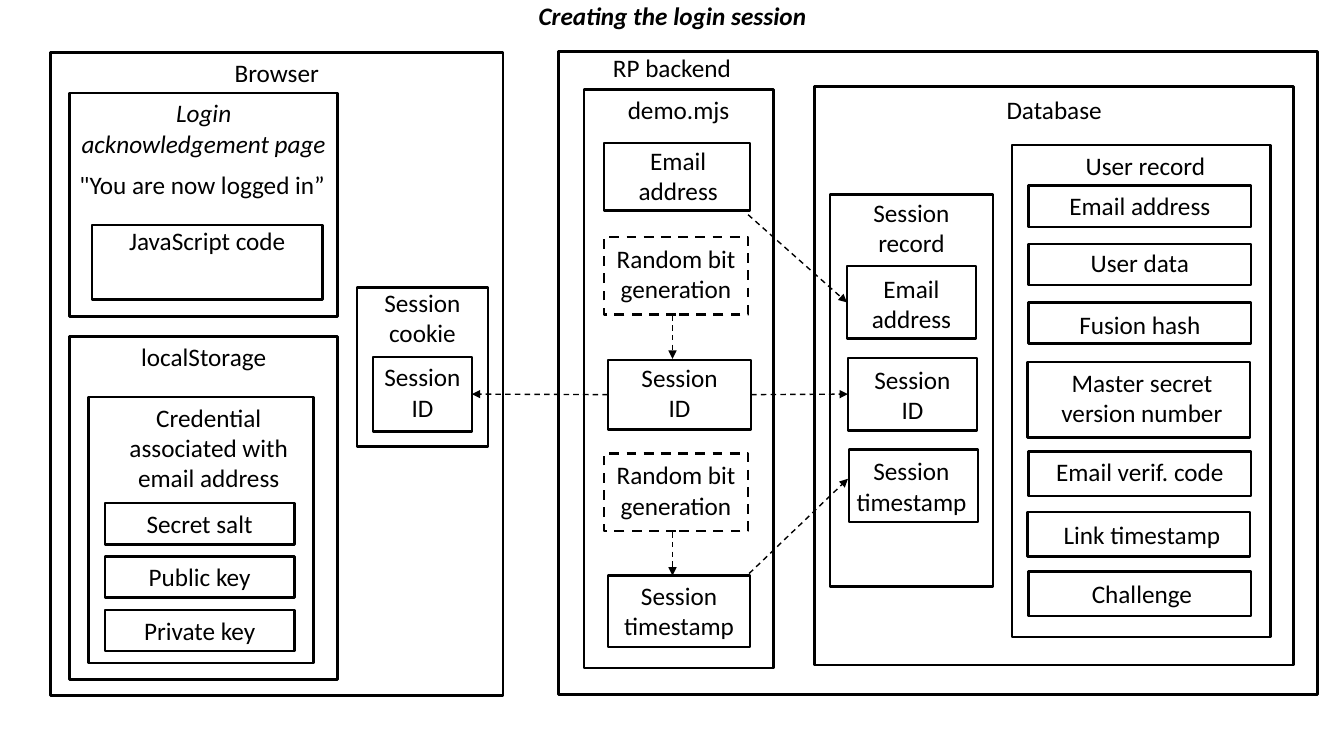
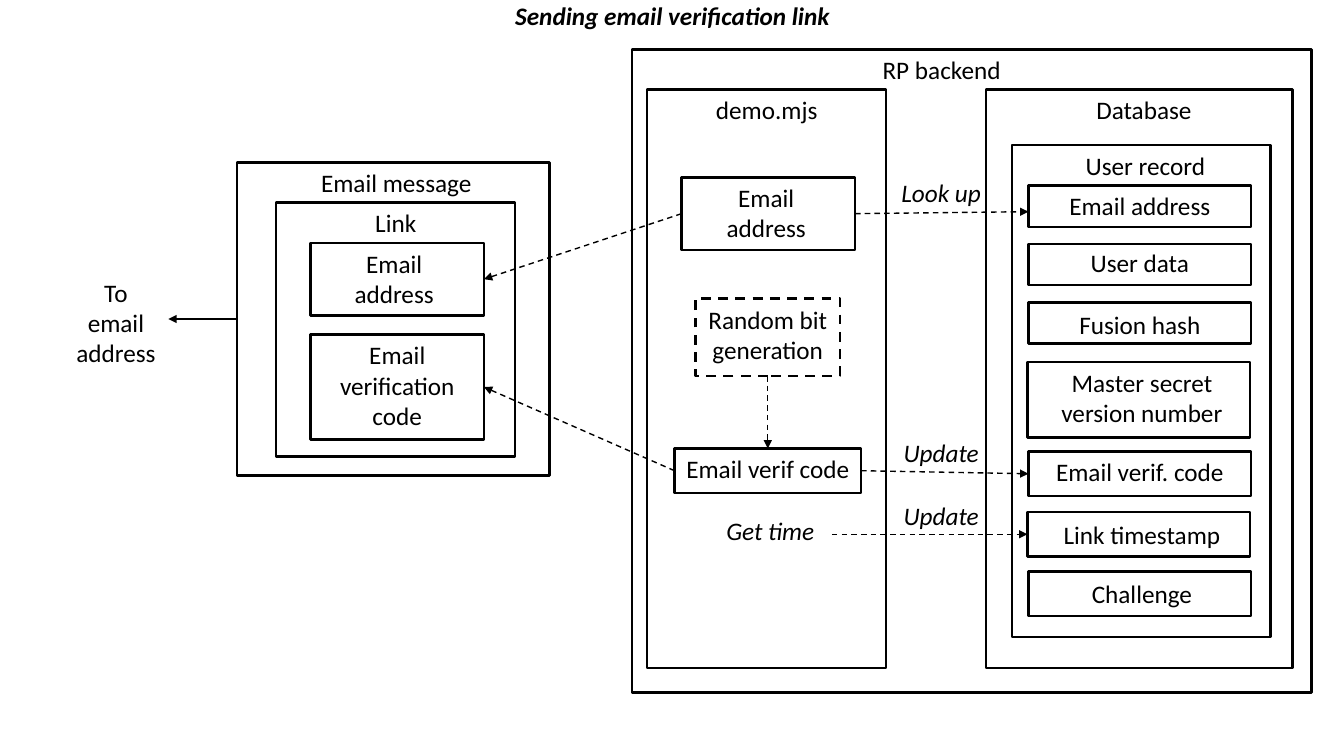
from lxml import etree
from pptx import Presentation
from pptx import util as u
from pptx.dml.color import RGBColor
from pptx.enum import dml, shapes, text
from pptx.oxml import ns

COLORS = {"ink": "000000", "paper": "FFFFFF"}
CELL = u.Inches(0.1)  # one grid column or row
FONT = {"name": "Calibri", "size": u.Pt(18)}
PLAIN = {}
ITALIC = {"italic": True}
TITLE = {"bold": True, "italic": True}
TOP, LEFT, BOTTOM, RIGHT = range(4)
CENTER = text.PP_ALIGN.CENTER

# text, left, top, height, text shift across and down
USER_FIELDS = [
    ("Email address", 102, 18.4, 4.1, 0, 0),
    ("User data", 102, 24.2, 4.1, 0, -0.2),
    ("Fusion hash", 102, 30, 4.1, 0, 0.2),
    ("Master secret version number", 101.9, 35.9, 7.5, 0.3, 0),
    ("Email verif. code", 102, 44.8, 4.4, 0, 0),
    ("Link timestamp", 101.9, 50.8, 4.4, 0.3, 0.2),
    ("Challenge", 102, 56.7, 4.4, 0.2, 0.2),
]


def cells(count):
    return u.Emu(round(count * CELL))


def color(key):
    return RGBColor.from_string(COLORS[key])


class Diagram:
    """Holds the deck, the current page and the shared look; lengths are in grid cells."""

    def __init__(self):
        self.deck = Presentation()
        self.deck.slide_width = u.Inches(13.33)
        self.deck.slide_height = u.Inches(7.5)
        self.page = None

    def new_page(self, title):
        self.page = self.deck.slides.add_slide(self.deck.slide_layouts[6])
        self.page.background.fill.solid()
        self.page.background.fill.fore_color.rgb = color("paper")
        box = self.label(title, 9.2, 0, 115, 3.5, TITLE)
        frame = box.text_frame
        frame.margin_top = frame.margin_bottom = 0
        frame.vertical_anchor = text.MSO_ANCHOR.MIDDLE
        frame.paragraphs[0].line_spacing = 0.9

    def set_text(self, frame, words, look=PLAIN, align=CENTER):
        frame.word_wrap = True
        frame.vertical_anchor = text.MSO_ANCHOR.TOP
        for index, line in enumerate(words.split("\n")):
            para = frame.add_paragraph() if index else frame.paragraphs[0]
            para.alignment = align
            span = para.add_run()
            span.text = line
            for name, value in {**FONT, **look}.items():
                setattr(span.font, name, value)
            span.font.color.rgb = color("ink")

    def label(self, words, left, top, width, height=4, look=PLAIN, align=CENTER):
        box = self.page.shapes.add_textbox(*map(cells, (left, top, width, height)))
        self.set_text(box.text_frame, words, look, align)
        return box

    def pen(self, line, weight, dashed):
        line.color.rgb = color("ink")
        line.width = u.Pt(weight)
        if dashed:
            line.dash_style = dml.MSO_LINE.DASH

    def box(self, words, left, top, width, height,
            across=0, down=0, pad=1, look=PLAIN, dashed=False):
        """Outlined rectangle with text at its top, shifted by across and down."""
        box = self.page.shapes.add_shape(
            shapes.MSO_SHAPE.RECTANGLE, *map(cells, (left, top, width, height)))
        box.shadow.inherit = False
        box.fill.background()
        self.pen(box.line, 1.75, dashed)
        margins = {
            "margin_left": pad + max(0, 2 * across),
            "margin_right": pad + max(0, -2 * across),
            "margin_top": 0.5 + down,
            "margin_bottom": 0,
        }
        for name, value in margins.items():
            setattr(box.text_frame, name, cells(value))
        self.set_text(box.text_frame, words, look)
        return box

    def random_bits(self, left, top):
        return self.box("Random bit generation", left, top, 14.3, 7.7, down=0.1, dashed=True)

    def user_record(self):
        """Draws the user record and returns its fields by name."""
        self.box("User record", 100.4, 14.4, 25.6, 48.8, across=0.4)
        return {
            words: self.box(words, left, top, 22.1, height, across, down)
            for words, left, top, height, across, down in USER_FIELDS
        }

    def arrow(self, start, end, dashed=True):
        """Each end is a point (column, row) or a pair (box, side)."""
        points = [(0, 0) if hasattr(place[0], "shape_id") else tuple(map(cells, place))
                  for place in (start, end)]
        link = self.page.shapes.add_connector(
            shapes.MSO_CONNECTOR.STRAIGHT, *points[0], *points[1])
        for place, join in ((start, link.begin_connect), (end, link.end_connect)):
            if hasattr(place[0], "shape_id"):
                join(*place)
        self.pen(link.line, 1, dashed)
        properties = link._element.spPr
        etree.SubElement(properties.find(ns.qn("a:ln")), ns.qn("a:tailEnd"), type="triangle")
        etree.SubElement(properties, ns.qn("a:effectLst"))


def login_session(diagram):
    diagram.new_page("Creating the login session")

    diagram.box("Browser", 5, 5.2, 44.9, 63.8)
    diagram.box("Login acknowledgement page", 6.9, 9.2, 26.6, 22.2, look=ITALIC)
    diagram.label('"You are now logged in”', 6.9, 16.3, 26.6, align=text.PP_ALIGN.LEFT)
    diagram.box("JavaScript code", 9.1, 22.3, 22.9, 7.4, down=-0.4)
    diagram.box("localStorage", 6.9, 33.4, 26.6, 34)
    diagram.box("Credential associated with\nemail address", 8.8, 39.4, 22.3, 26.4, across=0.75)
    for row, words in enumerate(("Secret salt", "Public key", "Private key")):
        diagram.box(words, 10.4, 49.9 + 5.3 * row, 18.8, 4.1)
    diagram.box("Session\ncookie", 35.4, 28.5, 13, 15.8, down=-0.5)
    cookie_id = diagram.box("Session\nID", 37, 35.4, 9.8, 7.4, pad=0.5)

    diagram.box("RP backend", 55.4, 5.1, 75.3, 63.8, across=-26.4, down=-0.4)
    diagram.box("demo.mjs", 57.9, 8.9, 18.8, 57.4)
    diagram.box("Email address", 59.9, 14.2, 14.5, 6.7, across=0.1, down=-0.3)
    session_id = diagram.box("Session\nID", 60.3, 35.7, 14.2, 6.9, down=-0.3)
    diagram.box("Session timestamp", 60.3, 57.1, 14.1, 7.1)
    for top in (23.5, 45):
        diagram.random_bits(59.9, top)
        diagram.arrow((66.7, top + 7.8), (66.7, top + 12.1))

    diagram.box("Database", 80.8, 8.6, 47.5, 57.4, down=0.3)
    diagram.box("Session\nrecord", 82.3, 19.3, 16.2, 38.9, down=-0.2)
    record_email = diagram.box("Email\naddress", 84, 26.4, 12.8, 7.2, down=0.2)
    record_id = diagram.box("Session\nID", 84.1, 35.5, 12.8, 7.2, down=0.1)
    diagram.box("Session\ntimestamp", 84.2, 44.6, 12.8, 7.2, across=-0.2, down=0.1, pad=0.5)
    diagram.user_record()

    diagram.arrow((74.2, 21.3), (record_email, LEFT))
    diagram.arrow((74.3, 56.9), (84.1, 47.5))
    diagram.arrow((session_id, RIGHT), (record_id, LEFT))
    diagram.arrow((session_id, LEFT), (cookie_id, RIGHT))


def verification_link(diagram):
    diagram.new_page("Sending email verification link")

    message = diagram.box("Email message", 23.5, 16.1, 31, 31.1, across=0.3)
    diagram.box("Link", 27.4, 20.1, 23.7, 25.2)
    link_email = diagram.box("Email\naddress", 30.8, 24.1, 17.2, 7.2, across=-0.3)
    link_code = diagram.box("Email verification code", 30.8, 33.2, 17.2, 10.4)
    diagram.label("To\nemail\naddress", 4.2, 27, 14.6, 10.1)

    diagram.box("RP backend", 62.7, 4.9, 67.4, 63.8, across=-3)
    diagram.box("demo.mjs", 64.2, 8.9, 23.7, 57.4)
    email = diagram.box("Email\naddress", 67.6, 17.6, 17.2, 7.2, across=-0.2)
    random_bits = diagram.random_bits(69, 29.6)
    code = diagram.box("Email verif code", 66.9, 44.5, 18.5, 4.4)
    diagram.label("Get time", 67.8, 50.6, 17.2, look=ITALIC)
    diagram.box("Database", 97.8, 8.9, 30.4, 57.4, across=0.45)
    fields = diagram.user_record()
    for words, top in (("Look up", 17.1), ("Update", 42.9), ("Update", 49.1)):
        diagram.label(words, 81.5, top, 23.7, look=ITALIC)

    diagram.arrow((email, RIGHT), (102, 21))
    diagram.arrow((email, LEFT), (link_email, RIGHT))
    diagram.arrow((random_bits, BOTTOM), (code, TOP))
    diagram.arrow((code, RIGHT), (fields["Email verif. code"], LEFT))
    diagram.arrow((code, LEFT), (link_code, RIGHT))
    diagram.arrow((82.5, 53), (fields["Link timestamp"], LEFT))
    diagram.arrow((message, LEFT), (16.7, 31.65), dashed=False)


def main():
    diagram = Diagram()
    login_session(diagram)
    verification_link(diagram)
    diagram.deck.save("out.pptx")


if __name__ == "__main__":
    main()
